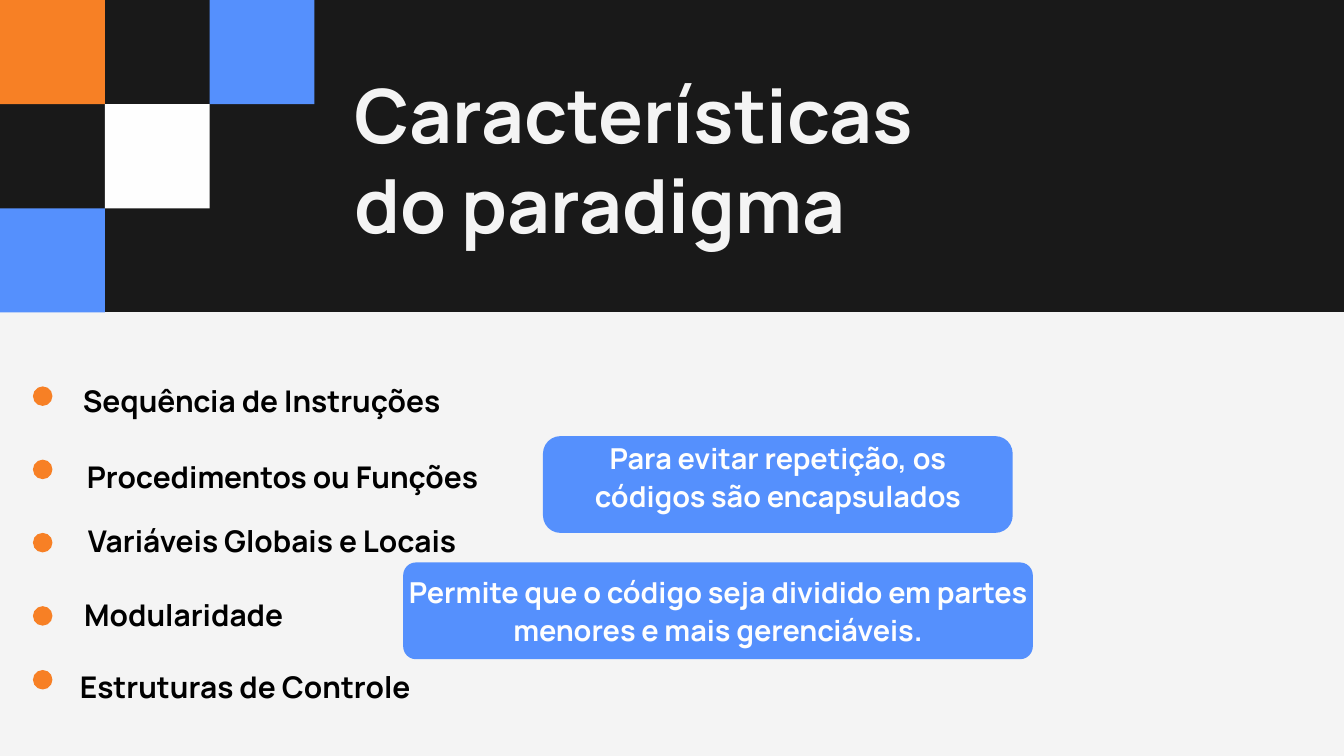
from pptx import Presentation
from pptx.dml.color import RGBColor
from pptx.enum.shapes import MSO_SHAPE
from pptx.enum.text import PP_ALIGN
from pptx.util import Inches, Pt

BLACK, LIGHT, WHITE = "191919", "F4F4F4", "FEFEFE"
BLUE, ORANGE = "5590FD", "F78025"

prs = Presentation()
prs.slide_width, prs.slide_height = Inches(20), Inches(11.25)
slide = prs.slides.add_slide(prs.slide_layouts[6])
slide.background.fill.solid()
slide.background.fill.fore_color.rgb = RGBColor.from_string(LIGHT)


def add_block(kind, left, top, width, height, color):
    block = slide.shapes.add_shape(
        kind, Inches(left), Inches(top), Inches(width), Inches(height))
    block.shadow.inherit = False
    block.fill.solid()
    block.fill.fore_color.rgb = RGBColor.from_string(color)
    block.line.fill.background()
    return block


def add_text(text, left, top, width, height, size, spacing, color,
             align=PP_ALIGN.CENTER):
    frame = slide.shapes.add_textbox(
        Inches(left), Inches(top), Inches(width), Inches(height)).text_frame
    frame.word_wrap = True
    frame.margin_left = frame.margin_right = 0
    frame.margin_top = frame.margin_bottom = 0
    paragraph = frame.paragraphs[0]
    paragraph.text = text
    paragraph.alignment = align
    paragraph.line_spacing = Pt(spacing)
    paragraph.font.name = "Manrope"
    paragraph.font.size = Pt(size)
    paragraph.font.bold = True
    paragraph.font.color.rgb = RGBColor.from_string(color)


# Header band with its checkerboard (column, row, color)
add_block(MSO_SHAPE.RECTANGLE, 0, 0, 20, 4.64, BLACK)
tile_width, tile_height = 1.56, 1.55
for column, row, color in [(0, 2, BLUE), (0, 0, ORANGE),
                           (1, 1, WHITE), (2, 0, BLUE)]:
    add_block(MSO_SHAPE.RECTANGLE, column * tile_width, row * tile_height,
              tile_width, tile_height, color)
add_text("Características\vdo paradigma", 5.28, 1.03, 10.05, 2.76,
         80, 96, LIGHT, PP_ALIGN.LEFT)

# Characteristics: dot top, then label left, top and width
characteristics = [
    ("Sequência de Instruções", 5.75, 1.09, 5.65, 5.61),
    ("Procedimentos ou Funções", 6.84, 1.12, 6.78, 6.17),
    ("Variáveis Globais e Locais", 7.93, 1.09, 7.74, 5.92),
    ("Modularidade", 9.02, 1.12, 8.83, 3.23),
    ("Estruturas de Controle", 9.97, 1.09, 9.9, 5.12),
]
for label, dot_top, left, top, width in characteristics:
    add_block(MSO_SHAPE.OVAL, 0.49, dot_top, 0.29, 0.29, ORANGE)
    add_text(label, left, top, width, 0.59, 32, 41.6, "000000")

# Explanations: card left, top, width and corner radius, then text box
explanations = [
    ("Para evitar repetição, os códigos são encapsulados",
     (8.08, 6.49, 6.99), 0.26, (8.44, 6.52, 6.27)),
    ("Permite que o código seja dividido em partes menores e mais gerenciáveis.",
     (6, 8.37, 9.37), 0.19, (6, 8.51, 9.37)),
]
card_height = 1.44
for explanation, card_place, radius, text_place in explanations:
    card = add_block(MSO_SHAPE.ROUNDED_RECTANGLE, *card_place, card_height, BLUE)
    card.adjustments[0] = radius / card_height
    add_text(explanation, *text_place, 1.14, 30.9, 40.2, WHITE)

prs.save("out.pptx")
